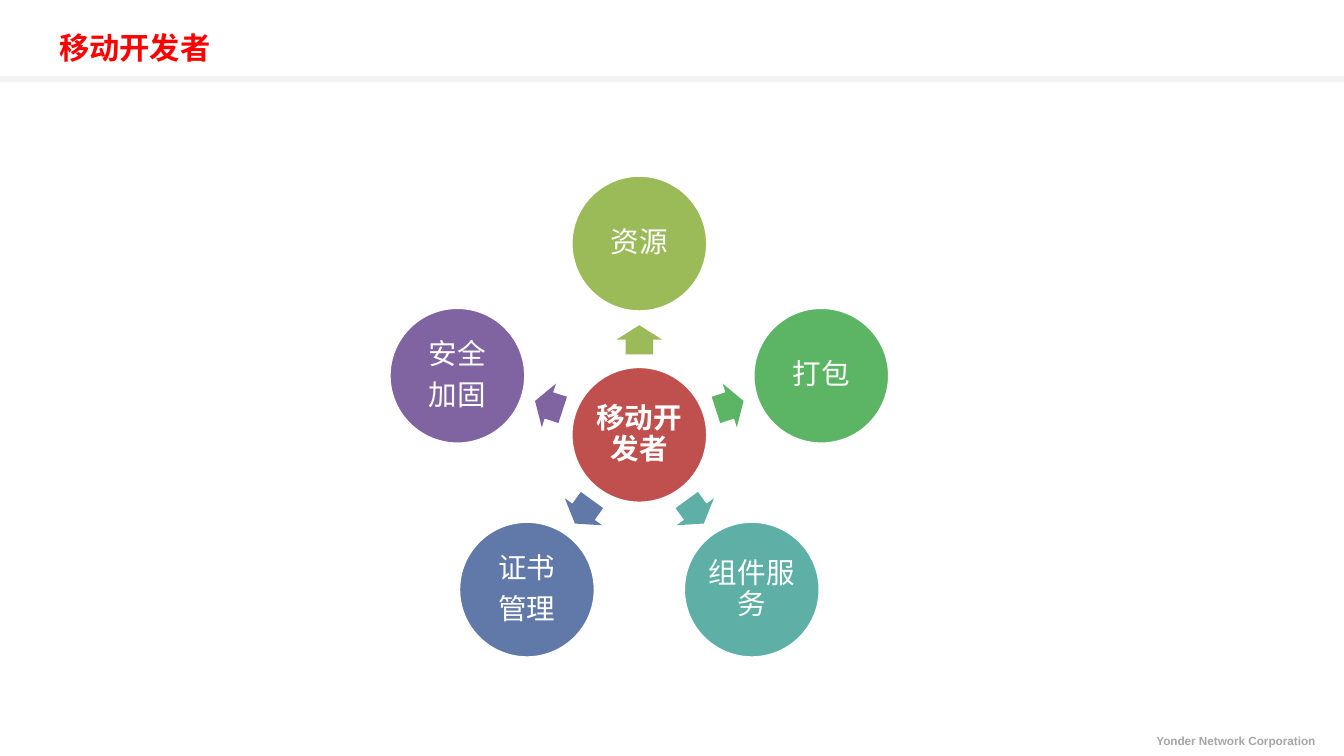
"""Build the mobile developer slide: a hub circle with five topics around it."""
import math
from dataclasses import dataclass

import pptx
import pptx.dml.color
import pptx.enum.shapes
import pptx.enum.text
import pptx.oxml
import pptx.oxml.ns
import pptx.util

WIDTH, HEIGHT = 11.11, 6.25
CENTER_X, CENTER_Y = WIDTH * 0.4757, HEIGHT * 0.5752
CIRCLE_SIZE = HEIGHT * 0.181
RING_RADIUS = HEIGHT * 0.253
ARROW_RADIUS = HEIGHT * 0.1258
ARROW_LENGTH, ARROW_BREADTH = HEIGHT * 0.0384, HEIGHT * 0.0608
CJK_FONT = "Noto Sans CJK SC"
COLORS = {
    "white": "FFFFFF",
    "rule": "F2F2F2",
    "footer": "A6A6A6",
    "title": "FF0000",
    "hub": "C0504D",
    "olive": "9BBB59",
    "green": "5CB565",
    "teal": "5EAFA6",
    "blue": "6179A8",
    "purple": "8064A2",
}
SHAPES = pptx.enum.shapes.MSO_SHAPE
ALIGN = pptx.enum.text.PP_ALIGN
ANCHOR = pptx.enum.text.MSO_ANCHOR


@dataclass(frozen=True)
class Topic:
    text: str
    color: str


TOPICS = [
    Topic("资源", "olive"),
    Topic("打包", "green"),
    Topic("组件服务", "teal"),
    Topic("证书\n管理", "blue"),
    Topic("安全\n加固", "purple"),
]


def rgb(name: str) -> pptx.dml.color.RGBColor:
    """Look up a named colour."""
    return pptx.dml.color.RGBColor.from_string(COLORS[name])


def write(box, text: str, *, size: float, color: str, font: str,
          bold: bool = False, align=ALIGN.LEFT, anchor=ANCHOR.TOP,
          wrap: bool = True, inset: tuple = (0.1, 0.05),
          line_spacing: float = 1.0, space_after: float = 0) -> None:
    """Fill a shape with formatted text, one paragraph per line."""
    frame = box.text_frame
    frame.auto_size = pptx.enum.text.MSO_AUTO_SIZE.NONE
    frame.word_wrap = wrap
    frame.vertical_anchor = anchor
    frame.margin_left = frame.margin_right = pptx.util.Inches(inset[0])
    frame.margin_top = frame.margin_bottom = pptx.util.Inches(inset[1])
    frame.text = text
    for para in frame.paragraphs:
        para.alignment = align
        para.line_spacing = line_spacing
        para.space_before = pptx.util.Pt(0)
        para.space_after = pptx.util.Pt(space_after)
        for span in para.runs:
            span.font.size = pptx.util.Pt(size)
            span.font.bold = bold
            span.font.name = font
            span.font.color.rgb = rgb(color)
            east_asian = pptx.oxml.parse_xml(
                f'<a:ea {pptx.oxml.ns.nsdecls("a")} typeface="{CJK_FONT}"/>')
            span.font._element.append(east_asian)


def add_filled(page, kind, center_x: float, center_y: float,
               width: float, height: float, color: str):
    """Add a flat shape around a centre point."""
    shape = page.shapes.add_shape(
        kind,
        pptx.util.Inches(center_x - width / 2),
        pptx.util.Inches(center_y - height / 2),
        pptx.util.Inches(width), pptx.util.Inches(height))
    shape.shadow.inherit = False
    shape.fill.solid()
    shape.fill.fore_color.rgb = rgb(color)
    shape.line.fill.background()
    return shape


def add_circle(page, topic: Topic, center_x: float, center_y: float,
               bold: bool = False) -> None:
    """Add a labelled circle with a white outline."""
    circle = add_filled(page, SHAPES.OVAL, center_x, center_y,
                        CIRCLE_SIZE, CIRCLE_SIZE, topic.color)
    circle.line.color.rgb = rgb("white")
    circle.line.width = pptx.util.Pt(2)
    write(circle, topic.text, size=17, color="white", font="Cambria", bold=bold,
          align=ALIGN.CENTER, anchor=ANCHOR.MIDDLE, inset=(0.02, 0.02),
          line_spacing=0.9, space_after=6)


def add_spoke(page, topic: Topic, degrees: float) -> None:
    """Add an arrow and its topic circle in one direction from the hub."""
    across, down = math.cos(math.radians(degrees)), math.sin(math.radians(degrees))
    arrow = add_filled(page, SHAPES.RIGHT_ARROW,
                       CENTER_X + ARROW_RADIUS * across,
                       CENTER_Y + ARROW_RADIUS * down,
                       ARROW_LENGTH, ARROW_BREADTH, topic.color)
    arrow.adjustments[0] = 0.6
    arrow.adjustments[1] = 0.5
    arrow.rotation = degrees % 360
    add_circle(page, topic, CENTER_X + RING_RADIUS * across,
               CENTER_Y + RING_RADIUS * down)


def add_title(page, text: str) -> None:
    """Place and format the title placeholder."""
    title = page.shapes.title
    title.left, title.top = pptx.util.Inches(WIDTH * 0.035), pptx.util.Inches(HEIGHT * 0.035)
    title.width, title.height = pptx.util.Inches(WIDTH * 0.727), pptx.util.Inches(HEIGHT * 0.056)
    write(title, text, size=18, color="title", font=CJK_FONT, bold=True,
          anchor=ANCHOR.MIDDLE)


def add_footer(page, text: str) -> None:
    """Add the company line at the lower right."""
    footer = page.shapes.add_textbox(
        pptx.util.Inches(WIDTH * 0.8515), pptx.util.Inches(HEIGHT * 0.963),
        pptx.util.Inches(WIDTH * 0.14), pptx.util.Inches(HEIGHT * 0.035))
    write(footer, text, size=7, color="footer", font="Arial", bold=True, wrap=False)


def main() -> None:
    """Assemble and save the deck."""
    deck = pptx.Presentation()
    deck.slide_width = pptx.util.Inches(WIDTH)
    deck.slide_height = pptx.util.Inches(HEIGHT)
    page = deck.slides.add_slide(deck.slide_layouts[5])
    add_title(page, "移动开发者")
    add_filled(page, SHAPES.RECTANGLE, WIDTH / 2, HEIGHT * 0.1048,
               WIDTH, HEIGHT * 0.008, "rule")
    add_footer(page, "Yonder Network Corporation")
    add_circle(page, Topic("移动开发者", "hub"), CENTER_X, CENTER_Y, bold=True)
    for index, topic in enumerate(TOPICS):
        add_spoke(page, topic, index * 360 / len(TOPICS) - 90)
    deck.save("out.pptx")


if __name__ == "__main__":
    main()
